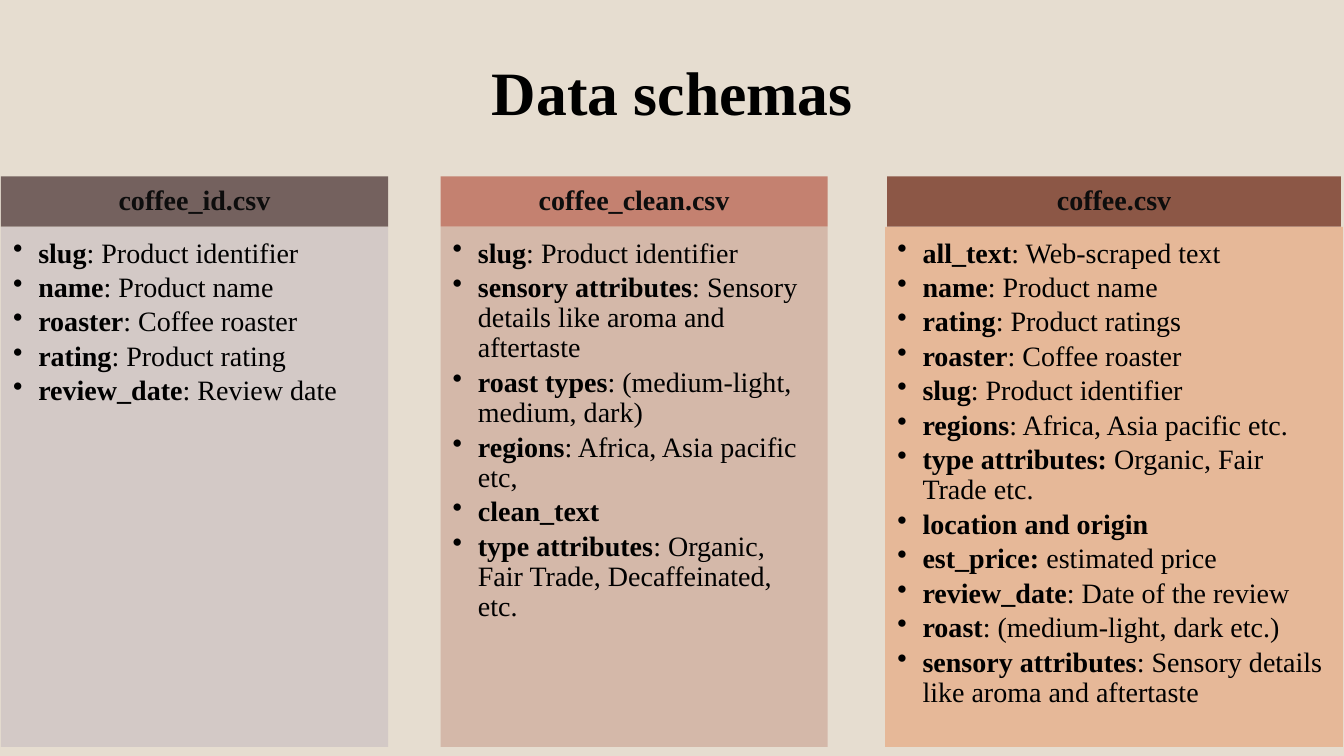
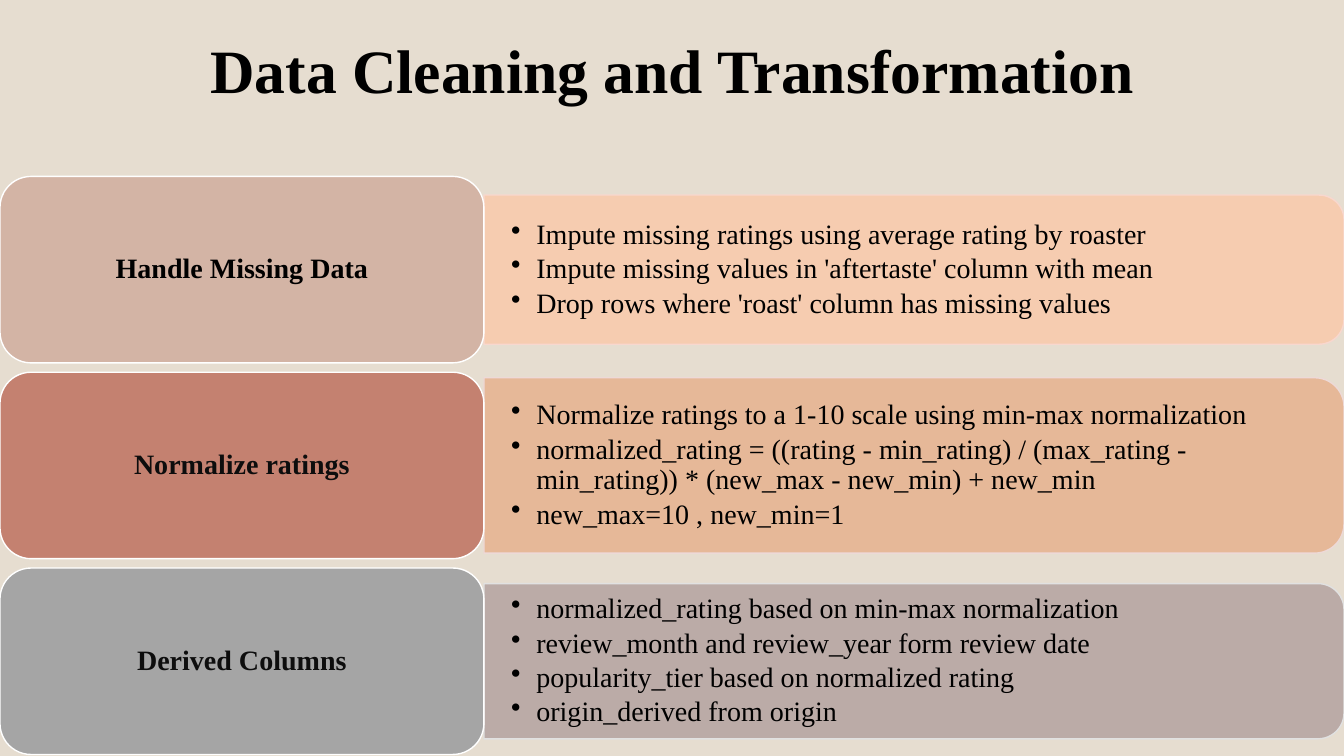
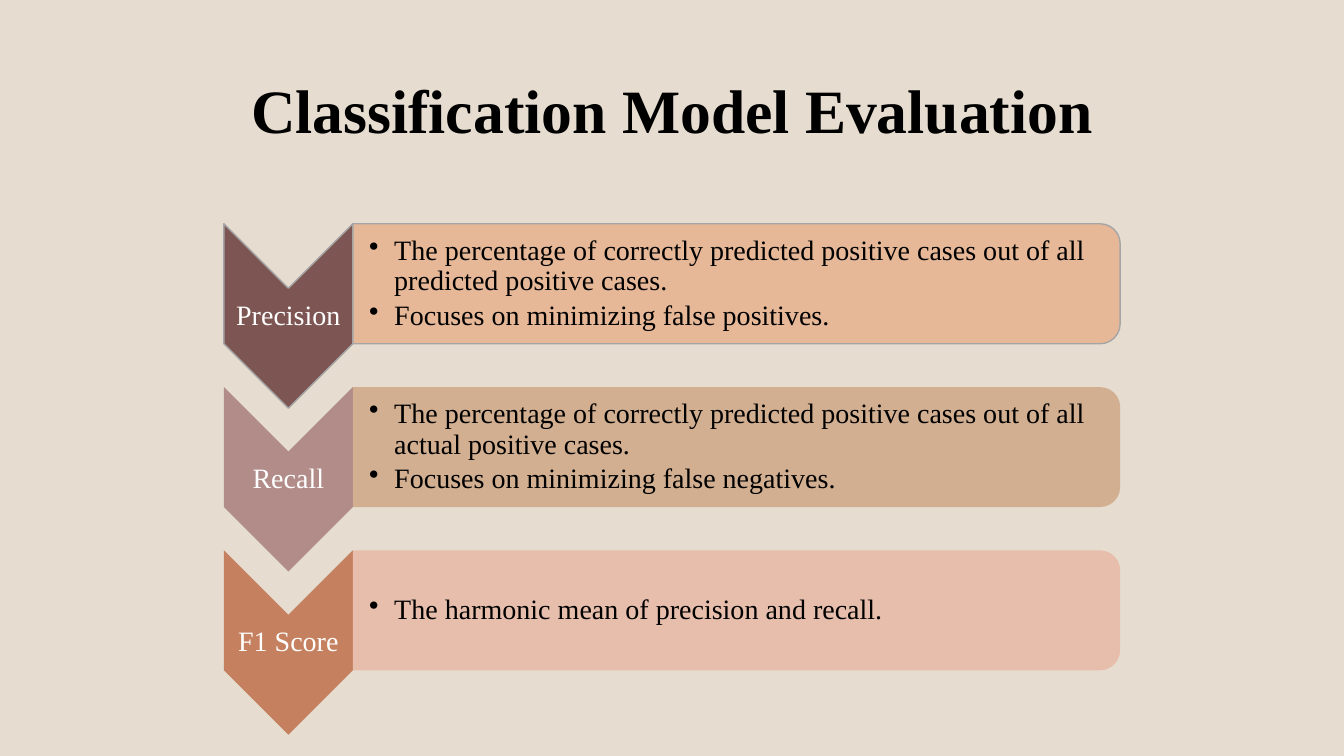
from lxml.etree import SubElement
from pptx import Presentation
from pptx.dml.color import RGBColor
from pptx.enum.shapes import MSO_SHAPE
from pptx.enum.text import MSO_ANCHOR, MSO_AUTO_SIZE, PP_ALIGN
from pptx.oxml.ns import qn
from pptx.util import Inches, Pt

WIDTH, HEIGHT = 13.33, 7.5


def rgb(color):
    return RGBColor.from_string(color)


class Deck:
    FONT = "Times New Roman"
    BACKGROUND = "E6DDD0"
    BLACK, SOFT_BLACK, WHITE = "000000", "0D0D0D", "FFFFFF"
    TITLE_SIZE, BODY_SIZE = 44, 20
    BULLET_INDENT = 0.25
    BULLET_GAP = 3

    def __init__(self):
        self.prs = Presentation()
        self.prs.slide_width = Inches(WIDTH)
        self.prs.slide_height = Inches(HEIGHT)
        background = self.prs.slide_master.background.fill
        background.solid()
        background.fore_color.rgb = rgb(self.BACKGROUND)
        self.slide = None

    def new_slide(self, title, top):
        self.slide = self.prs.slides.add_slide(self.prs.slide_layouts[5])
        heading = self.slide.shapes.title
        heading.left, heading.top = Inches(0.92), Inches(top)
        heading.width, heading.height = Inches(11.5), Inches(1.45)
        self.frame(heading, (0.1, 0.05, 0.1, 0.05), MSO_ANCHOR.MIDDLE)
        self.centred(heading, title, self.BLACK, True, self.TITLE_SIZE)

    def frame(self, shape, insets, anchor):
        """Set the text area; insets are left, top, right, bottom."""
        text = shape.text_frame
        text.word_wrap = True
        text.auto_size = MSO_AUTO_SIZE.NONE
        text.vertical_anchor = anchor
        (text.margin_left, text.margin_top,
         text.margin_right, text.margin_bottom) = map(Inches, insets)

    def style(self, paragraph, color, size, bold=None):
        paragraph.line_spacing = 0.9
        font = paragraph.font
        font.name, font.size, font.bold = self.FONT, Pt(size), bold
        font.color.rgb = rgb(color)

    def centred(self, shape, words, color, bold, size=BODY_SIZE):
        paragraph = shape.text_frame.paragraphs[0]
        paragraph.text = words
        paragraph.alignment = PP_ALIGN.CENTER
        self.style(paragraph, color, size, bold)

    def bullets(self, shape, items):
        """Write a bulleted list; words before a | are bold."""
        text = shape.text_frame
        for index, item in enumerate(items):
            paragraph = text.add_paragraph() if index else text.paragraphs[0]
            paragraph.alignment = PP_ALIGN.LEFT
            paragraph.space_after = Pt(self.BULLET_GAP)
            properties = paragraph._p.get_or_add_pPr()
            indent = Inches(self.BULLET_INDENT)
            properties.set("marL", str(indent))
            properties.set("indent", str(-indent))
            SubElement(properties, qn("a:buChar"), char="•")
            self.style(paragraph, self.BLACK, self.BODY_SIZE)
            term, bar, meaning = item.partition("|")
            if bar:
                paragraph.add_run().text = term
                paragraph.runs[0].font.bold = True
            else:
                meaning = term
            if meaning:
                paragraph.add_run().text = meaning

    def shape(self, kind, left, top, width, height, fill, line=None, opacity=100):
        shape = self.slide.shapes.add_shape(
            kind, Inches(left), Inches(top), Inches(width), Inches(height))
        shape.shadow.inherit = False
        shape.fill.solid()
        shape.fill.fore_color.rgb = rgb(fill)
        if opacity < 100:
            color = shape.element.spPr.find(qn("a:solidFill")).find(qn("a:srgbClr"))
            SubElement(color, qn("a:alpha"), val=str(opacity * 1000))
        if line:
            shape.line.color.rgb = rgb(line)
            shape.line.width = Pt(1)
        else:
            shape.line.fill.background()
        return shape

    def turned(self, kind, left, top, width, height, fill, line=None, opacity=100):
        """Add a shape turned a quarter clockwise that covers the given area."""
        shift = (width - height) / 2
        shape = self.shape(kind, left + shift, top - shift, height, width,
                           fill, line, opacity)
        shape.rotation = 90

    def text_box(self, left, top, width, height, insets):
        box = self.slide.shapes.add_textbox(
            Inches(left), Inches(top), Inches(width), Inches(height))
        self.frame(box, insets, MSO_ANCHOR.MIDDLE)
        return box

    def panel(self, left, top, width, height, fill, line, insets, items):
        """Add a bulleted panel with its right corners rounded."""
        self.turned(MSO_SHAPE.ROUND_2_SAME_RECTANGLE, left, top, width, height,
                    fill, line, 90)
        self.bullets(self.text_box(left, top, width, height, insets), items)

    def schema(self, name, header, body, header_fill, body_fill, fields):
        """Add a file's column; header and body are (left, width)."""
        top, header_height = 1.75, 0.5
        heading = self.shape(MSO_SHAPE.RECTANGLE, header[0], top, header[1],
                             header_height, header_fill)
        self.frame(heading, (0.16, 0.09, 0.16, 0.09), MSO_ANCHOR.MIDDLE)
        self.centred(heading, name, self.SOFT_BLACK, True)
        listing = self.shape(MSO_SHAPE.RECTANGLE, body[0], top + header_height,
                             body[1], 5.16, body_fill, opacity=90)
        self.frame(listing, (0.12, 0.12, 0.16, 0.17), MSO_ANCHOR.TOP)
        self.bullets(listing, fields)

    def step(self, top, height, name, name_color, name_fill,
             panel_height, panel_fill, panel_line, items):
        name_width = 4.8
        self.panel(name_width, top + (height - panel_height) / 2,
                   WIDTH - name_width, panel_height, panel_fill, panel_line,
                   (0.27, 0.14, 0.27, 0.14), items)
        label = self.shape(MSO_SHAPE.ROUNDED_RECTANGLE, 0, top, name_width, height,
                           name_fill, self.WHITE)
        self.frame(label, (0.08, 0.04, 0.08, 0.04), MSO_ANCHOR.MIDDLE)
        self.centred(label, name, name_color, True)

    def metric(self, top, name, name_fill, panel_fill, line, items):
        left, width, height = 2.22, 1.28, 1.83
        self.turned(MSO_SHAPE.CHEVRON, left, top, width, height, name_fill, line)
        label = self.text_box(left, top, width, height, (0.01,) * 4)
        self.centred(label, name, self.WHITE, False)
        self.panel(left + width, top, 7.61, 1.19, panel_fill, line,
                   (0.16, 0.01, 0.01, 0.01), items)


def data_schemas(deck):
    deck.new_slide("Data schemas", 0.22)
    ids, clean = (0.01, 3.84), (4.37, 3.84)
    deck.schema("coffee_id.csv", ids, ids, "74615E", "D1C7C5", [
        "slug|: Product identifier",
        "name|: Product name",
        "roaster|: Coffee roaster",
        "rating|: Product rating",
        "review_date|: Review date",
    ])
    deck.schema("coffee_clean.csv", clean, clean, "C48170", "D3B4A5", [
        "slug|: Product identifier",
        "sensory attributes|: Sensory details like aroma and aftertaste",
        "roast types|: (medium-light, medium, dark)",
        "regions|: Africa, Asia pacific etc,",
        "clean_text|",
        "type attributes|: Organic, Fair Trade, Decaffeinated, etc.",
    ])
    deck.schema("coffee.csv", (8.8, 4.5), (8.78, 4.54), "8C5746", "E6B492", [
        "all_text|: Web-scraped text",
        "name|: Product name",
        "rating|: Product ratings",
        "roaster|: Coffee roaster",
        "slug|: Product identifier",
        "regions|: Africa, Asia pacific etc.",
        "type attributes: |Organic, Fair Trade etc.",
        "location and origin|",
        "est_price: |estimated price",
        "review_date|: Date of the review",
        "roast|: (medium-light, dark etc.)",
        "sensory attributes|: Sensory details like aroma and aftertaste",
    ])


def data_cleaning(deck):
    deck.new_slide("Data Cleaning and Transformation", 0)
    steps = [
        ("Handle Missing Data", deck.BLACK, "D3B4A5", 1.48, "F8CBAD", "F8D7CE", [
            "Impute missing ratings using average rating by roaster",
            "Impute missing values in 'aftertaste' column with mean",
            "Drop rows where 'roast' column has missing values",
        ]),
        ("Normalize ratings", deck.SOFT_BLACK, "C48170", 1.74, "E6B492", "EDD9D7", [
            "Normalize ratings to a 1-10 scale using min-max normalization",
            "normalized_rating = ((rating - min_rating) / (max_rating - min_rating))"
            " * (new_max - new_min) + new_min",
            "new_max=10 , new_min=1",
        ]),
        ("Derived Columns", deck.SOFT_BLACK, "A5A5A5", 1.54, "B7A6A3", "E1E1E1", [
            "normalized_rating based on min-max normalization",
            "review_month and review_year form review date",
            "popularity_tier based on normalized rating",
            "origin_derived from origin",
        ]),
    ]
    height = 1.85
    for row, step in enumerate(steps):
        deck.step(1.75 + row * height * 1.05, height, *step)


def model_evaluation(deck):
    deck.new_slide("Classification Model Evaluation", 0.4)
    metrics = [
        ("Precision", "7D5653", "E6B492", "A5A5A5", [
            "The percentage of correctly predicted positive cases out of all "
            "predicted positive cases.",
            "Focuses on minimizing false positives.",
        ]),
        ("Recall", "B18C89", "D0AB8A", None, [
            "The percentage of correctly predicted positive cases out of all "
            "actual positive cases.",
            "Focuses on minimizing false negatives.",
        ]),
        ("F1 Score", "C5815F", "E7BBA7", None, [
            "The harmonic mean of precision and recall.",
        ]),
    ]
    for row, metric in enumerate(metrics):
        deck.metric(2.22 + row * 1.62, *metric)


def main():
    deck = Deck()
    data_schemas(deck)
    data_cleaning(deck)
    model_evaluation(deck)
    deck.prs.save("out.pptx")


if __name__ == "__main__":
    main()
